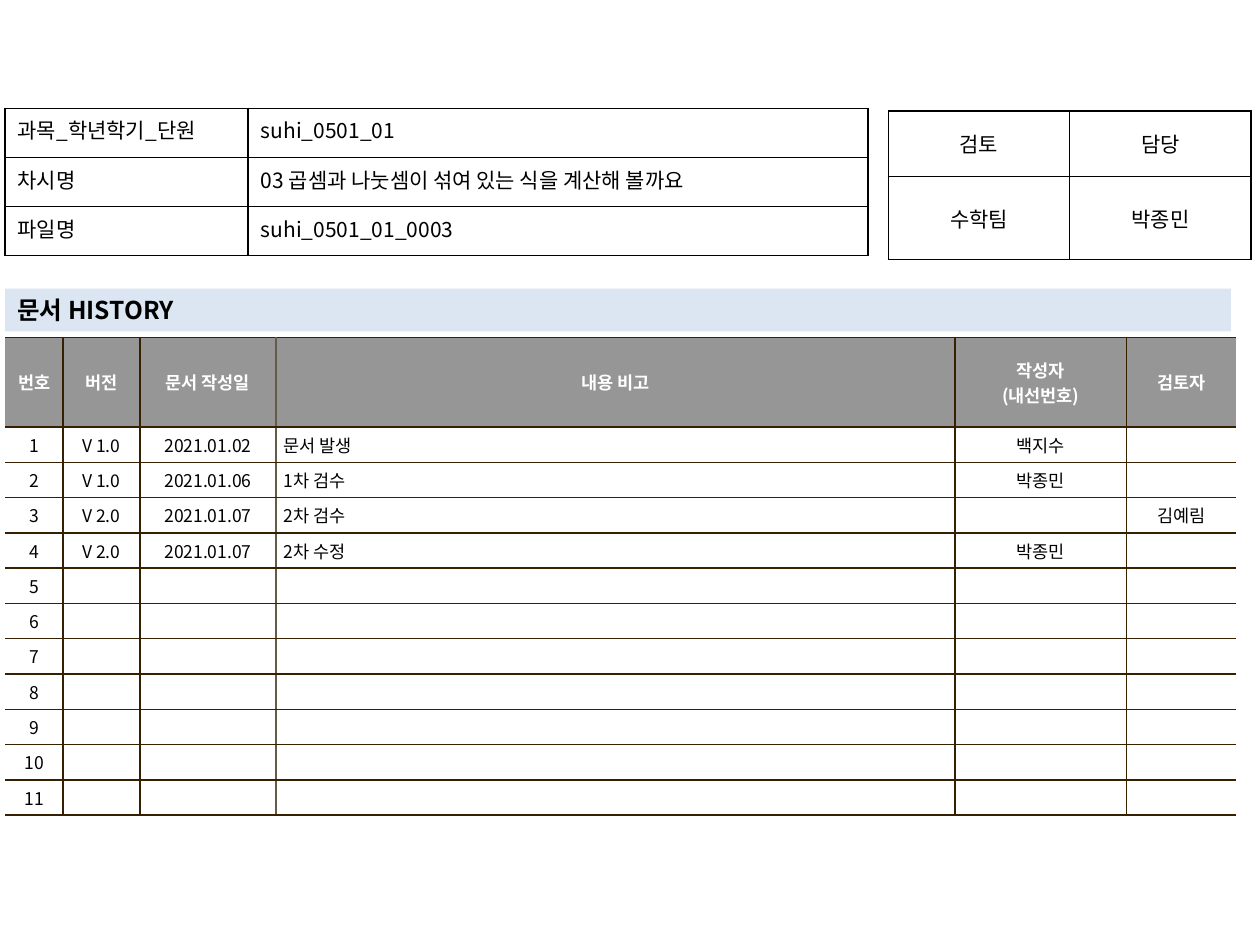
"""Build the document history slide with its lesson, approval and revision tables."""
from lxml.etree import SubElement
from pptx import Presentation
from pptx.dml.color import RGBColor
from pptx.enum.shapes import MSO_SHAPE
from pptx.enum.text import MSO_ANCHOR, PP_ALIGN
from pptx.oxml.ns import qn
from pptx.util import Inches, Pt

FONT = "Noto Sans CJK KR"
BLACK, WHITE, GREY, BROWN, TAUPE = "000000", "FFFFFF", "969696", "362000", "645B4C"
LEFT, CENTER, JUSTIFY = PP_ALIGN.LEFT, PP_ALIGN.CENTER, PP_ALIGN.JUSTIFY


def write(frame, text, size, color, bold=False, align=LEFT):
    for index, line in enumerate(text.split("\n")):
        paragraph = frame.paragraphs[0] if index == 0 else frame.add_paragraph()
        paragraph.alignment = align
        if not line:
            SubElement(paragraph._p, qn("a:endParaRPr"), sz=str(size * 100))
            continue
        run = paragraph.add_run()
        run.text = line
        run.font.name, run.font.size, run.font.bold = FONT, Pt(size), bold
        run.font.color.rgb = RGBColor.from_string(color)
        SubElement(run._r.get_or_add_rPr(), qn("a:ea"), typeface=FONT)


def add_grid(left, top, widths, heights, margins, border_rule):
    row_count, column_count = len(heights), len(widths)
    frame = slide.shapes.add_table(row_count, column_count, Inches(left), Inches(top),
                                   Inches(sum(widths)), Inches(sum(heights)))
    table = frame.table
    table.first_row = table.horz_banding = False
    for column, width in zip(table.columns, widths):
        column.width = Inches(width)
    for row, height in zip(table.rows, heights):
        row.height = Inches(height)
        for index, cell in enumerate(row.cells):
            cell.margin_left = cell.margin_right = Inches(margins[0])
            cell.margin_top = cell.margin_bottom = Inches(margins[1])
            properties = cell._tc.get_or_add_tcPr()
            for side in ("L", "R", "T", "B"):
                color = border_rule(index, side)
                line = SubElement(properties, qn(f"a:ln{side}"), w=str(Pt(1)))
                if color:
                    fill = SubElement(line, qn("a:solidFill"))
                    SubElement(fill, qn("a:srgbClr"), val=color)
                else:
                    SubElement(line, qn("a:noFill"))
            cell.fill.background()
    return table


presentation = Presentation()
presentation.slide_width, presentation.slide_height = Inches(10), Inches(7.5)
slide = presentation.slides.add_slide(presentation.slide_layouts[6])

history_rows = [
    ("번호", "버전", "문서 작성일", "내용 비고", "작성자\n(내선번호)", "검토자"),
    ("1", "V 1.0", "2021.01.02", "문서 발생", "백지수", ""),
    ("2", "V 1.0", "2021.01.06", "1차 검수", "박종민", ""),
    ("3", "V 2.0", "2021.01.07", "2차 검수", "", "김예림"),
    ("4", "V 2.0", "2021.01.07", "2차 수정", "박종민", ""),
] + [(str(number), "", "", "", "", "") for number in range(5, 12)]
history_borders = {(0, "L"): None, (5, "R"): None, (2, "R"): TAUPE, (3, "L"): TAUPE}
history = add_grid(0.04, 2.68, [0.46, 0.61, 1.08, 5.39, 1.36, 0.87], [0.71] + [0.25] * 11,
                   (0.06, 0.04), lambda index, side: history_borders.get((index, side), BROWN))
for row_index, texts in enumerate(history_rows):
    header = row_index == 0
    for column_index, text in enumerate(texts):
        cell = history.cell(row_index, column_index)
        cell.vertical_anchor = MSO_ANCHOR.MIDDLE
        cell.fill.solid()
        cell.fill.fore_color.rgb = RGBColor.from_string(GREY if header else WHITE)
        align = LEFT if column_index == 3 and not header else CENTER
        write(cell.text_frame, text, 10, WHITE if header else BLACK, header, align)

approval_rows = [("검토", "담당"), ("수학팀", "박종민")]
approval = add_grid(7.05, 0.88, [1.44, 1.44], [0.52, 0.66], (0.1, 0.05),
                    lambda index, side: BLACK)
for row_index, texts in enumerate(approval_rows):
    for column_index, text in enumerate(texts):
        cell = approval.cell(row_index, column_index)
        cell.vertical_anchor = MSO_ANCHOR.MIDDLE
        write(cell.text_frame, text, 12, BLACK, align=CENTER)

title_bar = slide.shapes.add_shape(MSO_SHAPE.RECTANGLE, Inches(0.04), Inches(2.29),
                                   Inches(9.73), Inches(0.34))
title_bar.shadow.inherit = False
title_bar.fill.solid()
title_bar.fill.fore_color.rgb = RGBColor.from_string("DCE6F2")
title_bar.line.fill.background()
title_bar.text_frame.vertical_anchor = MSO_ANCHOR.MIDDLE
write(title_bar.text_frame, "문서 HISTORY", 14, BLACK, True)

lesson_rows = [
    ("과목_학년학기_단원", "suhi_0501_01"),
    ("차시명", "03 곱셈과 나눗셈이 섞여 있는 식을 계산해 볼까요"),
    ("파일명", "suhi_0501_01_0003"),
]
lesson = add_grid(0.04, 0.86, [1.93, 4.92], [0.39] * 3, (0.1, 0.05),
                  lambda index, side: BLACK)
for row_index, (label, value) in enumerate(lesson_rows):
    write(lesson.cell(row_index, 0).text_frame, label, 12, BLACK, align=JUSTIFY)
    write(lesson.cell(row_index, 1).text_frame, value, 12, BLACK)

presentation.save("out.pptx")
